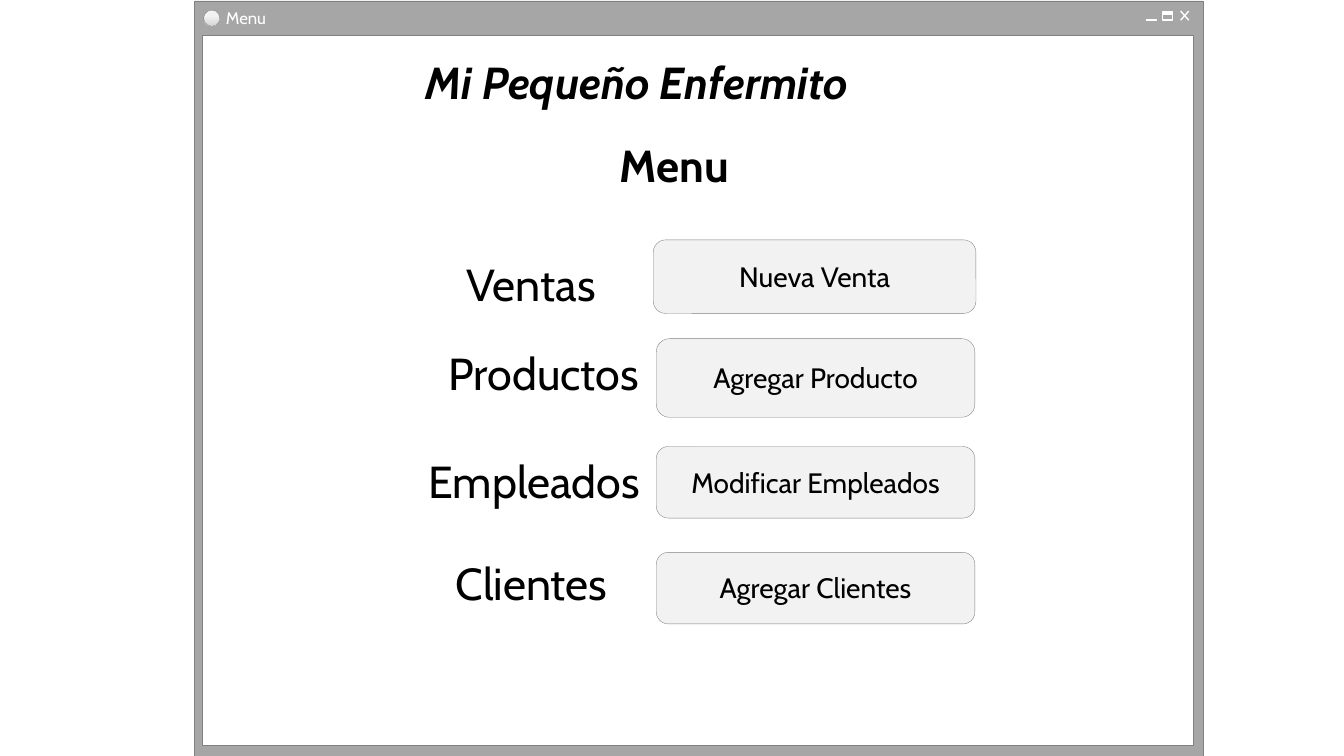
from copy import deepcopy
from dataclasses import dataclass

from pptx import Presentation
from pptx.dml.color import RGBColor
from pptx.enum.shapes import MSO_CONNECTOR, MSO_SHAPE
from pptx.enum.text import MSO_ANCHOR, MSO_AUTO_SIZE, PP_ALIGN
from pptx.oxml.ns import qn
from pptx.oxml.xmlchemy import OxmlElement
from pptx.util import Inches, Pt

RECTANGLE = MSO_SHAPE.RECTANGLE
ROUNDED = MSO_SHAPE.ROUNDED_RECTANGLE
OVAL = MSO_SHAPE.OVAL
STRAIGHT = MSO_CONNECTOR.STRAIGHT
MIDDLE = MSO_ANCHOR.MIDDLE
CENTER = PP_ALIGN.CENTER
GROW = MSO_AUTO_SIZE.SHAPE_TO_FIT_TEXT

COLUMNS, ROWS = 133.3, 75


@dataclass(frozen=True)
class Theme:
    font: str = "Cabin"
    ink: str = "000000"
    white: str = "FFFFFF"
    frame: str = "A6A6A6"
    outline: str = "808080"
    button: str = "F2F2F2"
    icon: str = "919191"
    orb: tuple = ((0.36, "F2F2F2"), (0.91, "D9D9D9"), (1, "F2F2F2"))
    heading_size: int = 32
    button_size: int = 20
    caption_size: int = 12
    hairline: float = 0.25
    stroke: int = 1


class WindowMockup:
    def __init__(self, presentation, theme):
        self.theme = theme
        self.slide = presentation.slides.add_slide(presentation.slide_layouts[6])
        self.column = presentation.slide_width / COLUMNS
        self.row = presentation.slide_height / ROWS

    def place(self, left, top, width, height):
        return (round(left * self.column), round(top * self.row),
                round(width * self.column), round(height * self.row))

    def box(self, kind, area, fill=None, line=None, weight=None):
        shape = self.slide.shapes.add_shape(kind, *self.place(*area))
        shape.shadow.inherit = False
        if fill:
            shape.fill.solid()
            shape.fill.fore_color.rgb = RGBColor.from_string(fill)
        else:
            shape.fill.background()
        shape.line.color.rgb = RGBColor.from_string(line or self.theme.outline)
        shape.line.width = Pt(weight or self.theme.hairline)
        return shape

    def orb(self, area):
        shape = self.box(OVAL, area)
        shape.fill.gradient()
        shape.fill.gradient_angle = 270
        stop_list = next(shape.element.iter(qn("a:gsLst")))
        stop_list.append(deepcopy(stop_list[-1]))
        for stop, (position, color) in zip(shape.fill.gradient_stops, self.theme.orb):
            stop.position = position
            stop.color.rgb = RGBColor.from_string(color)

    def stroke(self, left, top, right, bottom):
        start_x, start_y, end_x, end_y = self.place(left, top, right, bottom)
        connector = self.slide.shapes.add_connector(STRAIGHT, start_x, start_y, end_x, end_y)
        connector.line.color.rgb = RGBColor.from_string(self.theme.white)
        connector.line.width = Pt(self.theme.stroke)
        connector.element.spPr.append(OxmlElement("a:effectLst"))

    def set_text(self, shape, text, size, color, insets, bold=False, italic=False):
        frame = shape.text_frame
        frame.vertical_anchor = MIDDLE
        (frame.margin_left, frame.margin_top,
         frame.margin_right, frame.margin_bottom) = map(Inches, insets)
        paragraph = frame.paragraphs[0]
        paragraph.text = text
        font = paragraph.font
        font.name, font.size, font.bold, font.italic = self.theme.font, Pt(size), bold, italic
        font.color.rgb = RGBColor.from_string(color)
        return frame

    def label(self, text, area, size=None, color=None, wrap=True, left_inset=0.1, **style):
        shape = self.slide.shapes.add_textbox(*self.place(*area))
        frame = self.set_text(shape, text, size or self.theme.heading_size,
                              color or self.theme.ink, (left_inset, 0.02, 0.1, 0.03), **style)
        frame.word_wrap = wrap
        frame.auto_size = GROW

    def button(self, text, area):
        shape = self.box(ROUNDED, area, self.theme.button)
        frame = self.set_text(shape, text, self.theme.button_size, self.theme.ink,
                              (0.1, 0, 0.1, 0.01))
        frame.word_wrap = True
        frame.paragraphs[0].alignment = CENTER

    def window(self, caption):
        theme = self.theme
        self.box(RECTANGLE, (19.3, 0.1, 100, 75), theme.frame)
        self.box(RECTANGLE, (20.1, 3.5, 98.3, 70.4), theme.white)
        self.label(caption, (21.9, 0.6, 5.8, 2.5), theme.caption_size, theme.white,
                   wrap=False, left_inset=0.05)
        self.stroke(117.1, 1.1, 117.9, 2)
        self.stroke(117.9, 1.1, 117.1, 2)
        for left, top in ((115.3, 1.3), (113.7, 1.9)):
            self.box(RECTANGLE, (left, top, 1, 0.1), theme.icon, theme.white)
        self.box(RECTANGLE, (115.3, 1.2, 1, 0.8), line=theme.white, weight=theme.stroke)
        self.orb((20.2, 1, 1.6, 1.6))


MENU = (
    ("Ventas", (45.3, 25.2, 15.2, 5.9), "Nueva Venta", (64.8, 23.8, 32, 7.3)),
    ("Productos", (43.5, 34.1, 23.6, 5.9), "Agregar Producto", (65.1, 33.6, 31.6, 7.8)),
    ("Empleados", (41.5, 44.8, 23.6, 5.9), "Modificar Empleados", (65.1, 44.3, 31.6, 7.1)),
    ("Clientes", (44.2, 54.9, 23.6, 5.9), "Agregar Clientes", (65.1, 54.8, 31.6, 7.1)),
)


def main():
    presentation = Presentation()
    presentation.slide_width = Inches(13.33)
    presentation.slide_height = Inches(7.5)
    mockup = WindowMockup(presentation, Theme())
    mockup.window("Menu")
    mockup.label("Mi Pequeño Enfermito", (41.2, 5.2, 52.9, 5.9), bold=True, italic=True)
    mockup.label("Menu", (60.5, 13.4, 23.6, 5.9), bold=True)
    for section, section_area, action, action_area in MENU:
        mockup.label(section, section_area)
        mockup.button(action, action_area)
    presentation.save("out.pptx")


if __name__ == "__main__":
    main()
